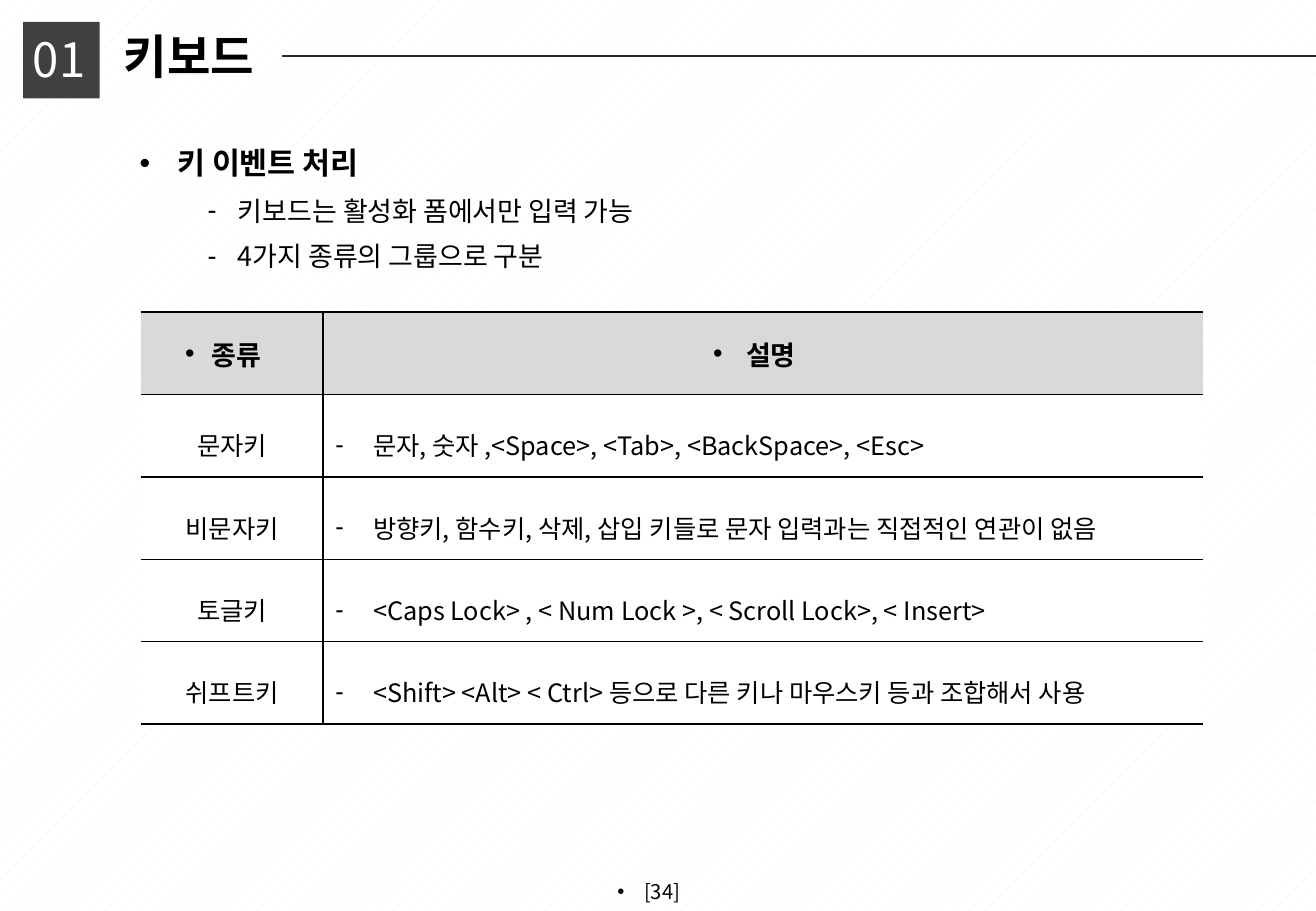
import pptx
import pptx.util
import pptx.dml.color
import pptx.enum.dml
import pptx.enum.shapes
import pptx.enum.text
import pptx.oxml
import pptx.oxml.ns
from pptx.util import Inches

RGBColor = pptx.dml.color.RGBColor
BLACK = RGBColor(0x00, 0x00, 0x00)
WHITE = RGBColor(0xFF, 0xFF, 0xFF)
STRIPE = RGBColor(0xF2, 0xF2, 0xF2)
BADGE = RGBColor(0x40, 0x40, 0x40)
RULE = RGBColor(0x26, 0x26, 0x26)
HEADER = RGBColor(0xD9, 0xD9, 0xD9)
FONT = "Noto Sans CJK KR"
ALIGN = pptx.enum.text.PP_ALIGN
MIDDLE = pptx.enum.text.MSO_ANCHOR.MIDDLE
NAMESPACE = pptx.oxml.ns.nsdecls("a")


def write(para, text, size, color=BLACK, bold=False, align=ALIGN.LEFT,
          bullet=None, margin=0, indent=0, spacing=None):
    para.alignment = align
    if spacing:
        para.line_spacing = spacing
    properties = para._p.get_or_add_pPr()
    properties.set("marL", str(Inches(margin)))
    properties.set("indent", str(Inches(indent)))
    if bullet:
        properties.append(pptx.oxml.parse_xml(
            f'<a:buFont {NAMESPACE} typeface="Arial"/>'))
        properties.append(pptx.oxml.parse_xml(
            f'<a:buChar {NAMESPACE} char="{bullet}"/>'))
    span = para.add_run()
    span.text = text
    span.font.size = pptx.util.Pt(size)
    span.font.bold = bold
    span.font.color.rgb = color
    span.font.name = FONT
    span.font._element.find(pptx.oxml.ns.qn("a:latin")).addnext(
        pptx.oxml.parse_xml(f'<a:ea {NAMESPACE} typeface="{FONT}"/>'))


def set_borders(cell, visible):
    properties = cell._tc.get_or_add_tcPr()
    for position, side in enumerate("LRTB"):
        if side in visible:
            paint = f'<a:solidFill><a:srgbClr val="{BLACK}"/></a:solidFill>'
        else:
            paint = "<a:noFill/>"
        properties.insert(position, pptx.oxml.parse_xml(
            f'<a:ln{side} {NAMESPACE} w="{pptx.util.Pt(1)}">{paint}</a:ln{side}>'))


deck = pptx.Presentation()
deck.slide_width = Inches(10.83)
deck.slide_height = Inches(7.5)
page = deck.slides.add_slide(deck.slide_layouts[5])
background = page.background.fill
background.patterned()
background.pattern = pptx.enum.dml.MSO_PATTERN.PERCENT_5
background.fore_color.rgb = STRIPE
background.back_color.rgb = WHITE

title = page.shapes.title
title.left, title.top = Inches(0.83), Inches(0.17)
title.width, title.height = Inches(1.49), Inches(0.57)
title.text_frame.word_wrap = False
title.text_frame.auto_size = pptx.enum.text.MSO_AUTO_SIZE.NONE
title.text_frame.vertical_anchor = MIDDLE
write(title.text_frame.paragraphs[0], " 키보드", 28, bold=True)

badge = page.shapes.add_shape(
    pptx.enum.shapes.MSO_SHAPE.RECTANGLE,
    Inches(0.19), Inches(0.18), Inches(0.63), Inches(0.63))
badge.shadow.inherit = False
badge.fill.solid()
badge.fill.fore_color.rgb = BADGE
badge.line.fill.background()

number = page.shapes.add_textbox(
    Inches(0.15), Inches(0.2), Inches(0.65), Inches(0.57)).text_frame
number.word_wrap = False
number.vertical_anchor = MIDDLE
write(number.paragraphs[0], "01", 28, WHITE, align=ALIGN.RIGHT)

rule = page.shapes.add_connector(
    pptx.enum.shapes.MSO_CONNECTOR.STRAIGHT,
    Inches(2.32), Inches(0.46), Inches(10.83), Inches(0.46))
rule.line.color.rgb = RULE
rule.line.width = pptx.util.Pt(1.5)
rule._element.spPr.append(pptx.oxml.parse_xml(f"<a:effectLst {NAMESPACE}/>"))

body = page.shapes.add_textbox(
    Inches(0.61), Inches(1.19), Inches(9.61), Inches(5.79)).text_frame
body.word_wrap = True
body.margin_top = 0
write(body.paragraphs[0], "키 이벤트 처리", 18, bold=True,
      bullet="•", margin=0.75, indent=-0.31)
for point in ["키보드는 활성화 폼에서만 입력 가능", "4가지 종류의 그룹으로 구분"]:
    para = body.add_paragraph()
    para.level = 1
    para.space_before = pptx.util.Pt(4)
    write(para, point, 16, bullet="-", margin=1.25, indent=-0.25, spacing=1.2)

KEY_GROUPS = [
    ("종류", " 설명"),
    ("문자키", "문자, 숫자 ,<Space>, <Tab>, <BackSpace>, <Esc>"),
    ("비문자키", "방향키, 함수키, 삭제, 삽입 키들로 문자 입력과는 직접적인 연관이 없음"),
    ("토글키", "<Caps Lock> , < Num Lock >, < Scroll Lock>, < Insert>"),
    ("쉬프트키", "<Shift> <Alt> < Ctrl> 등으로 다른 키나 마우스키 등과 조합해서 사용"),
]
table = page.shapes.add_table(
    len(KEY_GROUPS), 2, Inches(1.16), Inches(2.57), Inches(8.74), Inches(3.39)).table
table.horz_banding = False
table.columns[0].width = Inches(1.5)
table.columns[1].width = Inches(7.24)
for row, texts in enumerate(KEY_GROUPS):
    for column, text in enumerate(texts):
        cell = table.cell(row, column)
        cell.vertical_anchor = MIDDLE
        cell.fill.solid()
        cell.fill.fore_color.rgb = WHITE if row else HEADER
        set_borders(cell, "LTB" if column else "RTB")
        para = cell.text_frame.paragraphs[0]
        if row == 0:
            write(para, text, 16, bold=True, align=ALIGN.CENTER,
                  bullet="•", margin=0.07, indent=-0.22)
        elif column == 0:
            write(para, text, 15, align=ALIGN.CENTER, spacing=1.5)
        else:
            write(para, text, 15, bullet="-", margin=0.31, indent=-0.31, spacing=1.5)

footer = page.shapes.add_textbox(
    Inches(4.15), Inches(7.18), Inches(2.53), Inches(0.32)).text_frame
footer.word_wrap = True
footer.vertical_anchor = MIDDLE
write(footer.paragraphs[0], "[34]", 12, align=ALIGN.CENTER,
      bullet="•", margin=0.07, indent=-0.22)

deck.save("out.pptx")
